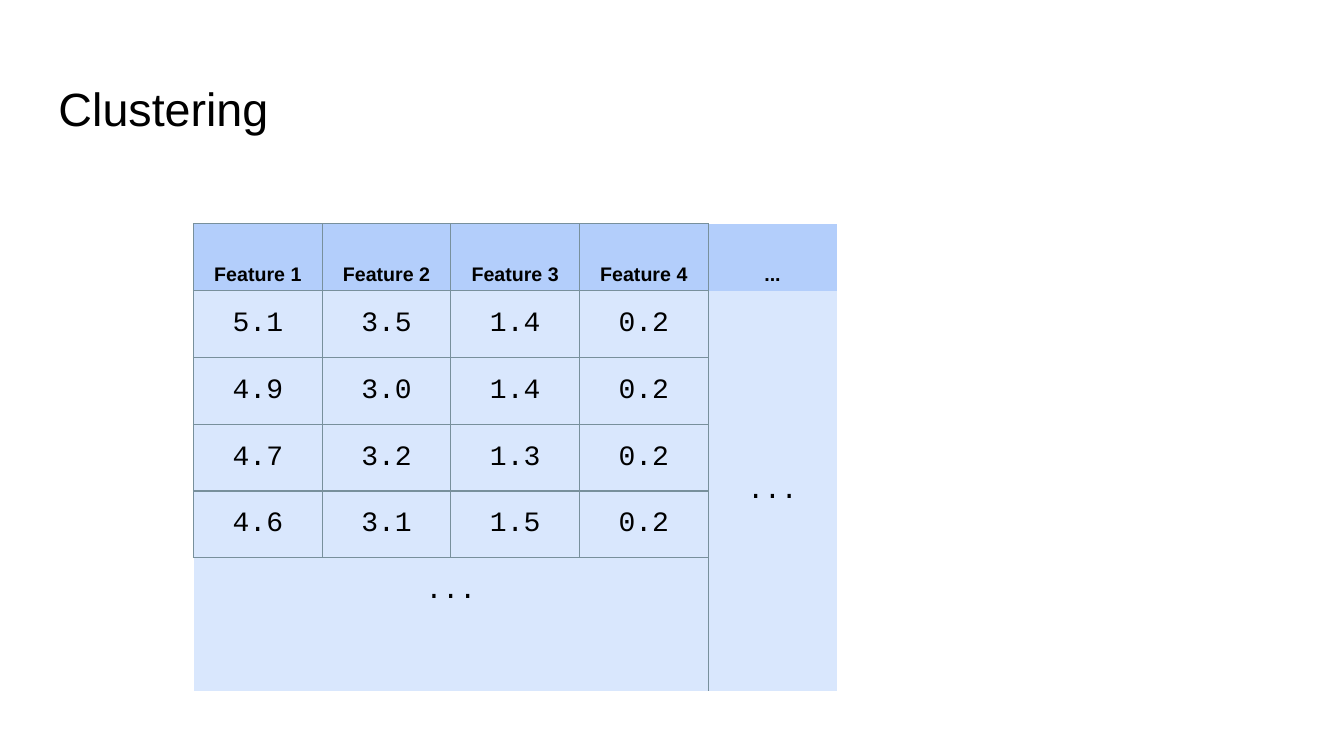
import lxml.etree
import pptx
import pptx.dml.color
import pptx.enum.text
import pptx.oxml
import pptx.oxml.ns
import pptx.util

PX = 9144  # EMU in one px, 100 px to the inch
COLORS = {"text": "000000", "header": "B3CEFB", "body": "D9E7FD", "border": "78909C"}
PLAIN_TABLE_STYLE = "{2D5ABB26-0587-4C30-8999-92F81FD0307C}"
ALL_SIDES = "LRTB"

HEADERS = ["Feature 1", "Feature 2", "Feature 3", "Feature 4", "..."]
SAMPLES = [
    ["5.1", "3.5", "1.4", "0.2"],
    ["4.9", "3.0", "1.4", "0.2"],
    ["4.7", "3.2", "1.3", "0.2"],
    ["4.6", "3.1", "1.5", "0.2"],
]
ROW_COUNT = 7
MORE_ROW = len(SAMPLES) + 1
MORE_COLUMN = len(HEADERS) - 1


def rgb(name):
    return pptx.dml.color.RGBColor.from_string(COLORS[name])


def set_font(paragraph, name, size, bold=False):
    paragraph.font.name = name
    paragraph.font.size = pptx.util.Pt(size)
    paragraph.font.bold = bold
    paragraph.font.color.rgb = rgb("text")


def place(shape, left, top, width, height):
    shape.left, shape.top = left * PX, top * PX
    shape.width, shape.height = width * PX, height * PX


def add_title(slide, text):
    title = slide.shapes.title
    place(title, 45, 65, 1242, 83)
    frame = title.text_frame
    frame.text = text
    frame.word_wrap = True
    frame.vertical_anchor = pptx.enum.text.MSO_ANCHOR.BOTTOM
    frame.margin_left = frame.margin_right = 13 * PX
    frame.margin_top = frame.margin_bottom = 13 * PX
    frame.paragraphs[0].alignment = pptx.enum.text.PP_ALIGN.LEFT
    set_font(frame.paragraphs[0], "Arial", 33.3)


def set_borders(cell, sides):
    """Draw the given sides (letters of LRTB) and clear the others."""
    properties = cell._tc.get_or_add_tcPr()
    for index, side in enumerate(ALL_SIDES):
        if side in sides:
            paint = f'<a:solidFill><a:srgbClr val="{COLORS["border"]}"/></a:solidFill>'
        else:
            paint = "<a:noFill/>"
        line = pptx.oxml.parse_xml(
            f'<a:ln{side} {pptx.oxml.ns.nsdecls("a")} w="{pptx.util.Pt(1)}">{paint}</a:ln{side}>'
        )
        properties.insert(index, line)


def sides_of(row, column):
    if column == MORE_COLUMN:
        return "L"
    if row < MORE_ROW:
        return ALL_SIDES
    return "T" if row == MORE_ROW else ""


def fill_cell(cell, text, is_header):
    cell.fill.solid()
    cell.fill.fore_color.rgb = rgb("header" if is_header else "body")
    anchors = pptx.enum.text.MSO_ANCHOR
    cell.vertical_anchor = anchors.BOTTOM if is_header else anchors.MIDDLE
    if not text:
        return
    cell.text = text
    paragraph = cell.text_frame.paragraphs[0]
    paragraph.alignment = pptx.enum.text.PP_ALIGN.CENTER
    if is_header:
        set_font(paragraph, "Arial", 14, bold=True)
    else:
        set_font(paragraph, "Courier New", 20)


def add_feature_table(slide):
    frame = slide.shapes.add_table(
        ROW_COUNT, len(HEADERS), 192 * PX, 222 * PX, 638 * PX, 464 * PX
    )
    table = frame.table
    table.first_row = table.horz_banding = False
    table._tbl.tblPr.find(pptx.oxml.ns.qn("a:tableStyleId")).text = PLAIN_TABLE_STYLE

    texts = {(0, column): text for column, text in enumerate(HEADERS)}
    for row, values in enumerate(SAMPLES, start=1):
        texts.update({(row, column): value for column, value in enumerate(values)})
    texts[1, MORE_COLUMN] = texts[MORE_ROW, 0] = "..."

    for row in range(ROW_COUNT):
        for column in range(len(HEADERS)):
            cell = table.cell(row, column)
            fill_cell(cell, texts.get((row, column)), is_header=row == 0)
            set_borders(cell, sides_of(row, column))
    table.cell(1, MORE_COLUMN).merge(table.cell(ROW_COUNT - 1, MORE_COLUMN))
    table.cell(MORE_ROW, 0).merge(table.cell(MORE_ROW, MORE_COLUMN - 1))


def main():
    presentation = pptx.Presentation()
    presentation.slide_width, presentation.slide_height = 1333 * PX, 750 * PX
    slide = presentation.slides.add_slide(presentation.slide_layouts[5])
    add_title(slide, "Clustering")
    add_feature_table(slide)
    presentation.save("out.pptx")


if __name__ == "__main__":
    main()
